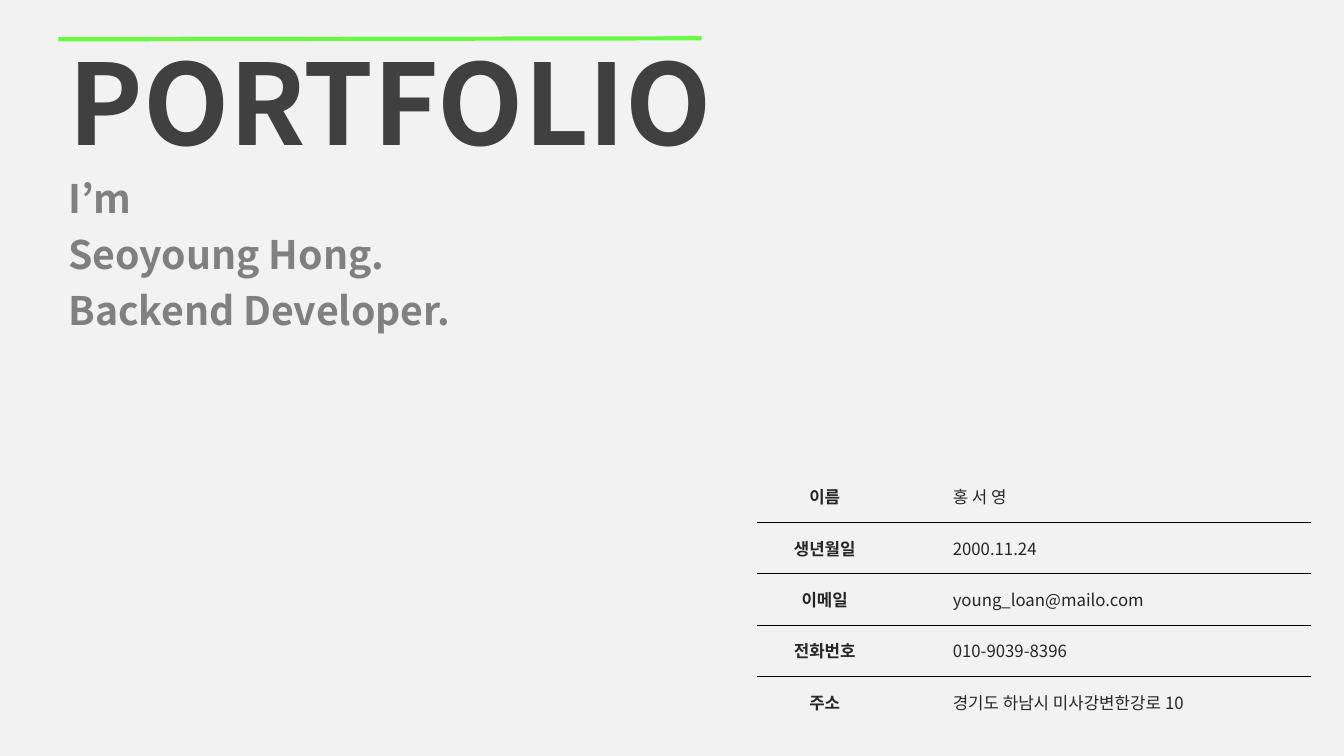
from lxml.etree import SubElement
from pptx import Presentation
from pptx.dml.color import RGBColor
from pptx.enum.shapes import MSO_CONNECTOR
from pptx.enum.text import MSO_ANCHOR, PP_ALIGN
from pptx.oxml.ns import qn
from pptx.util import Inches, Pt

# Content
TITLE = "PORTFOLIO"
INTRO = ["I’m", "Seoyoung Hong.", "Backend Developer."]
PROFILE = [
    ("이름", "홍 서 영"),
    ("생년월일", "2000.11.24"),
    ("이메일", "young_loan@mailo.com"),
    ("전화번호", "010-9039-8396"),
    ("주소", "경기도 하남시 미사강변한강로 10"),
]

THEME = {
    "font": "Noto Sans CJK KR",
    "background": "F2F2F2", "title": "404040", "intro": "808080",
    "body": "262626", "accent": "67FB42", "rule": "000000",
    "title_size": 80, "intro_size": 28, "body_size": 12,
}
LEFT = 0.58
COLUMN_WIDTHS = (1.34, 4.15)
ROW_HEIGHT = 0.51


def color(name):
    return RGBColor.from_string(THEME[name])


def add_run(paragraph, text, size, color_name, bold):
    run = paragraph.add_run()
    run.text = text
    font = run.font
    font.name, font.size, font.bold = THEME["font"], Pt(THEME[size]), bold
    font.color.rgb = color(color_name)
    east_asian = SubElement(run._r.get_or_add_rPr(), qn("a:ea"))
    east_asian.set("typeface", THEME["font"])


def add_text_box(slide, left, top, width, height):
    box = slide.shapes.add_textbox(*map(Inches, (left, top, width, height)))
    box.text_frame.word_wrap = True
    return box.text_frame


def set_borders(cell, ruled_sides):
    properties = cell._tc.get_or_add_tcPr()
    for position, side in enumerate(("lnL", "lnR", "lnT", "lnB")):
        line = properties.makeelement(qn(f"a:{side}"), {"w": str(Pt(0.25))})
        properties.insert(position, line)
        if side in ruled_sides:
            fill = SubElement(line, qn("a:solidFill"))
            SubElement(fill, qn("a:srgbClr")).set("val", THEME["rule"])
        else:
            SubElement(line, qn("a:noFill"))


presentation = Presentation()
presentation.slide_width = Inches(13.33)
presentation.slide_height = Inches(7.5)
slide = presentation.slides.add_slide(presentation.slide_layouts[6])
slide.background.fill.solid()
slide.background.fill.fore_color.rgb = color("background")

# Title under the accent line
title_frame = add_text_box(slide, LEFT, 0.28, 8.72, 1.45)
add_run(title_frame.paragraphs[0], TITLE, "title_size", "title", True)

accent = slide.shapes.add_connector(
    MSO_CONNECTOR.STRAIGHT, Inches(LEFT), Inches(0.39), Inches(6.96), Inches(0.38))
accent.line.color.rgb = color("accent")
accent.line.width = Pt(3)
SubElement(accent._element.spPr, qn("a:effectLst"))

# Introduction
intro_frame = add_text_box(slide, LEFT, 1.73, 12.22, 1.7)
for index, text in enumerate(INTRO):
    paragraph = intro_frame.add_paragraph() if index else intro_frame.paragraphs[0]
    paragraph.line_spacing = 0.9
    paragraph.space_before = Pt(10 if index else 0)
    add_run(paragraph, text, "intro_size", "intro", True)

# Profile table, ruled between rows only
table = slide.shapes.add_table(
    len(PROFILE), len(COLUMN_WIDTHS), Inches(7.51), Inches(4.67),
    Inches(sum(COLUMN_WIDTHS)), Inches(ROW_HEIGHT * len(PROFILE))).table
table.first_row = table.horz_banding = False
for column, width in zip(table.columns, COLUMN_WIDTHS):
    column.width = Inches(width)

for row, entry in enumerate(PROFILE):
    ruled_sides = set()
    if row > 0:
        ruled_sides.add("lnT")
    if row < len(PROFILE) - 1:
        ruled_sides.add("lnB")
    for column, text in enumerate(entry):
        cell = table.cell(row, column)
        cell.fill.background()
        cell.vertical_anchor = MSO_ANCHOR.MIDDLE
        set_borders(cell, ruled_sides)
        paragraph = cell.text_frame.paragraphs[0]
        is_label = column == 0
        if is_label:
            paragraph.alignment = PP_ALIGN.CENTER
        else:
            paragraph.level = 1
            paragraph._p.get_or_add_pPr().set("marL", str(Inches(0.5)))
        add_run(paragraph, text, "body_size", "body", is_label)

presentation.save("out.pptx")
